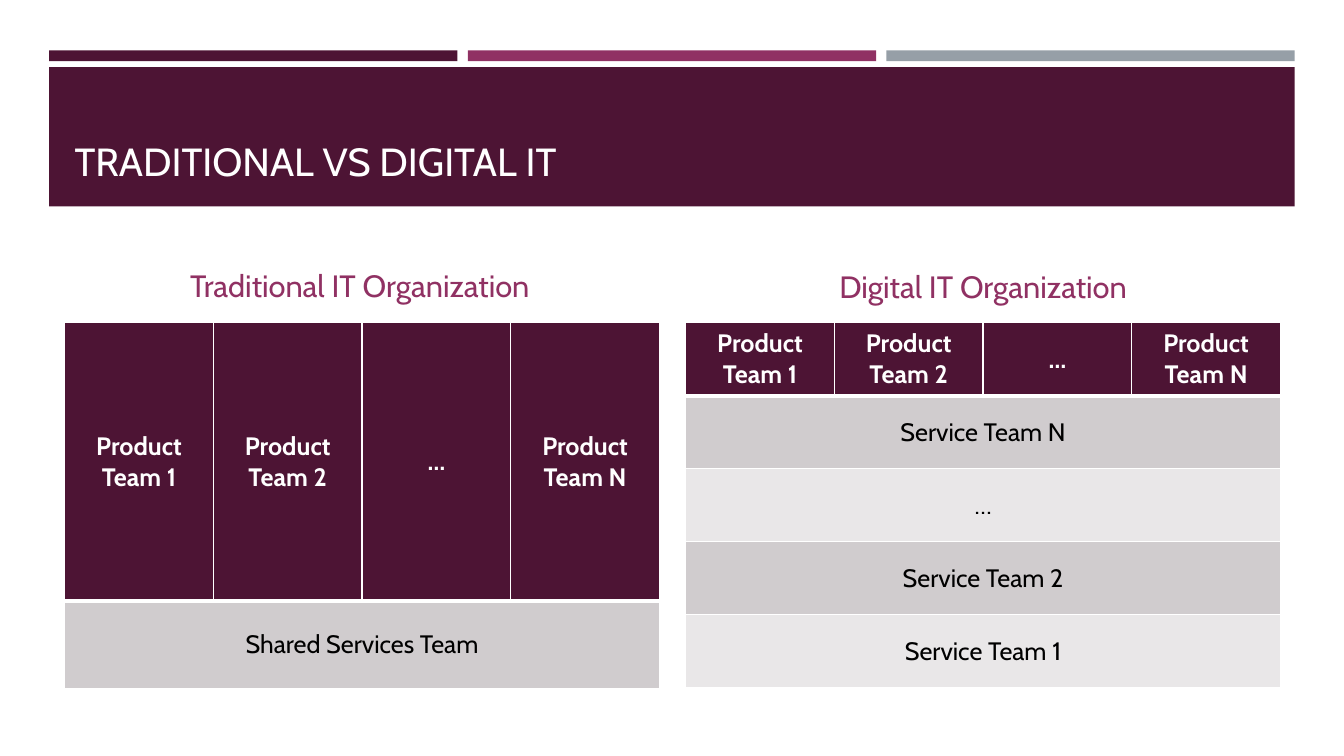
from dataclasses import dataclass

from lxml import etree
from pptx import Presentation
from pptx.dml.color import RGBColor
from pptx.enum.shapes import MSO_SHAPE
from pptx.enum.text import MSO_ANCHOR, PP_ALIGN
from pptx.oxml.ns import qn
from pptx.util import Cm, Pt

RECTANGLE = MSO_SHAPE.RECTANGLE
LEFT, CENTER = PP_ALIGN.LEFT, PP_ALIGN.CENTER
BOTTOM, MIDDLE = MSO_ANCHOR.BOTTOM, MSO_ANCHOR.MIDDLE


@dataclass(frozen=True)
class Theme:
    font: str = "Cabin"
    plum: str = "4D1434"
    magenta: str = "903163"
    slate: str = "969FA7"
    white: str = "FFFFFF"
    black: str = "000000"
    bands: tuple = ("D0CCCE", "E9E7E8")
    title_size: int = 28
    heading_size: int = 22
    cell_size: int = 18
    thin_line: int = 1
    thick_line: int = 3


THEME = Theme()
PRODUCT_TEAMS = ("Product Team 1", "Product Team 2", "…", "Product Team N")


def write_text(frame, text, *, size, color, bold=False, align=LEFT, after=0):
    """Put one formatted paragraph in a text frame."""
    frame.word_wrap = True
    para = frame.paragraphs[0]
    para.alignment = align
    para.space_before = Pt(0)
    para.space_after = Pt(after)
    span = para.add_run()
    span.text = text
    span.font.name = THEME.font
    span.font.size = Pt(size)
    span.font.bold = bold
    span.font.color.rgb = RGBColor.from_string(color)


def add_block(page, left, top, width, height, color):
    block = page.shapes.add_shape(RECTANGLE, Cm(left), Cm(top), Cm(width), Cm(height))
    block.shadow.inherit = False
    block.fill.solid()
    block.fill.fore_color.rgb = RGBColor.from_string(color)
    block.line.fill.background()


def add_text(page, left, top, width, height, text, **text_format):
    box = page.shapes.add_textbox(Cm(left), Cm(top), Cm(width), Cm(height))
    box.text_frame.vertical_anchor = BOTTOM
    write_text(box.text_frame, text, **text_format)


def set_borders(cell, top, bottom):
    """Draw white borders; top and bottom are widths in points."""
    properties = cell._tc.get_or_add_tcPr()
    widths = {"a:lnL": THEME.thin_line, "a:lnR": THEME.thin_line,
              "a:lnT": top, "a:lnB": bottom}
    for position, (tag, width) in enumerate(widths.items()):
        line = etree.Element(qn(tag), w=str(Pt(width)))
        fill = etree.SubElement(line, qn("a:solidFill"))
        etree.SubElement(fill, qn("a:srgbClr"), val=THEME.white)
        properties.insert(position, line)


def style_cell(cell, color, top, bottom):
    cell.vertical_anchor = MIDDLE
    cell.fill.solid()
    cell.fill.fore_color.rgb = RGBColor.from_string(color)
    set_borders(cell, top, bottom)


def add_team_table(page, left, top, width, row_heights, services):
    """Product teams side by side, above service teams that span the width."""
    columns = len(PRODUCT_TEAMS)
    frame = page.shapes.add_table(len(row_heights), columns, Cm(left), Cm(top),
                                  Cm(width), Cm(sum(row_heights)))
    table = frame.table
    table.horz_banding = False
    for column in table.columns:
        column.width = Cm(width / columns)
    for row, height in zip(table.rows, row_heights):
        row.height = Cm(height)

    # Product teams
    for index, name in enumerate(PRODUCT_TEAMS):
        cell = table.cell(0, index)
        style_cell(cell, THEME.plum, THEME.thin_line, THEME.thick_line)
        write_text(cell.text_frame, name, size=THEME.cell_size,
                   color=THEME.white, bold=True, align=CENTER)

    # Service teams
    for index, name in enumerate(services, start=1):
        band = THEME.bands[(index - 1) % len(THEME.bands)]
        top_line = THEME.thick_line if index == 1 else THEME.thin_line
        for column in range(columns):
            style_cell(table.cell(index, column), band, top_line, THEME.thin_line)
        first = table.cell(index, 0)
        first.merge(table.cell(index, columns - 1))
        write_text(first.text_frame, name, size=THEME.cell_size,
                   color=THEME.black, align=CENTER)


def main():
    deck = Presentation()
    deck.slide_width, deck.slide_height = Cm(33.87), Cm(19.05)
    page = deck.slides.add_slide(deck.slide_layouts[6])

    # Title band under three accent bars
    for index, color in enumerate((THEME.plum, THEME.magenta, THEME.slate)):
        add_block(page, 1.24 + index * 10.55, 1.27, 10.29, 0.27, color)
    add_block(page, 1.24, 1.69, 31.39, 3.51, THEME.plum)
    add_text(page, 1.63, 2.03, 30.63, 2.74, "TRADITIONAL VS DIGITAL IT",
             size=THEME.title_size, color=THEME.white)

    # Two organizations side by side
    organizations = (
        (1.63, 14.88, 7.77, "Traditional IT Organization", (7.01, 2.21),
         ("Shared Services Team",)),
        (17.28, 14.99, 7.8, "Digital IT Organization", (1.84,) * 5,
         ("Service Team N", "…", "Service Team 2", "Service Team 1")),
    )
    for left, heading_width, heading_bottom, heading, heights, services in organizations:
        add_text(page, left, heading_bottom - 1.5, heading_width, 1.5, heading,
                 size=THEME.heading_size, color=THEME.magenta, align=CENTER, after=6)
        add_team_table(page, left, 8.13, 14.99, heights, services)

    deck.save("out.pptx")


if __name__ == "__main__":
    main()
